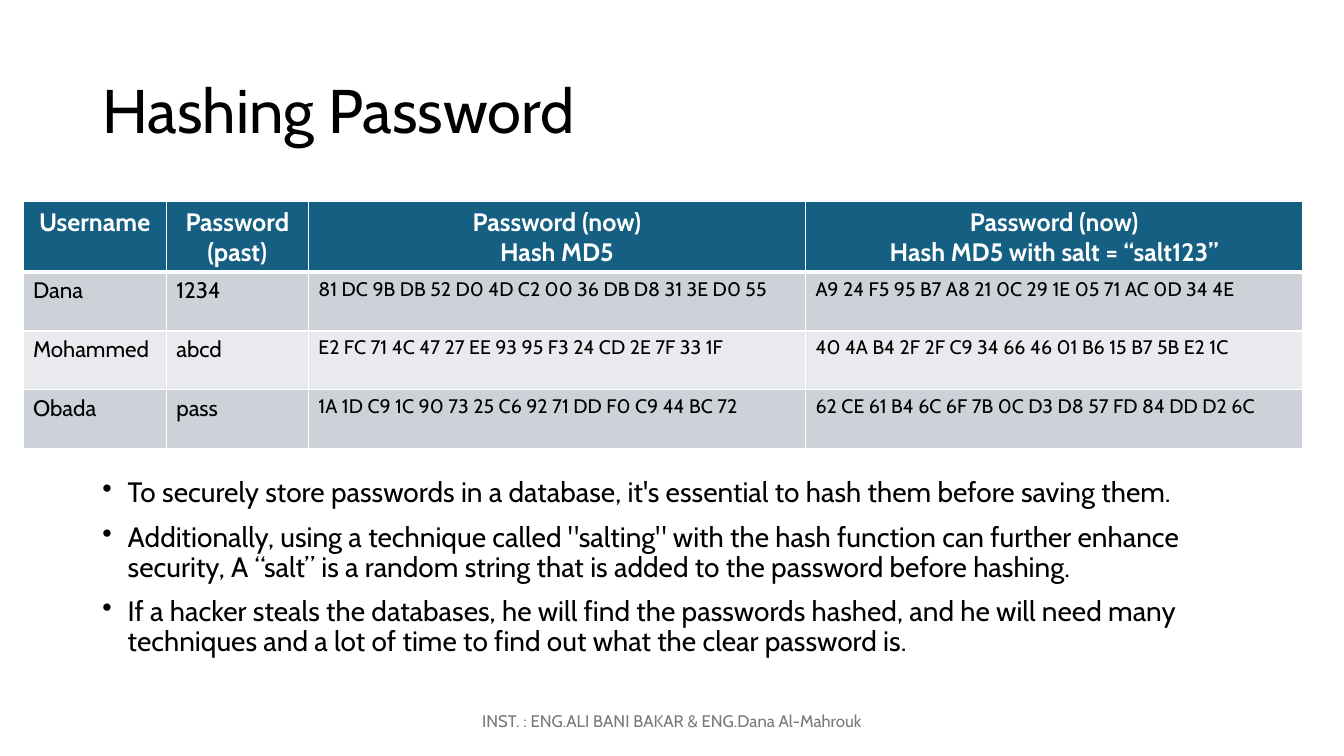
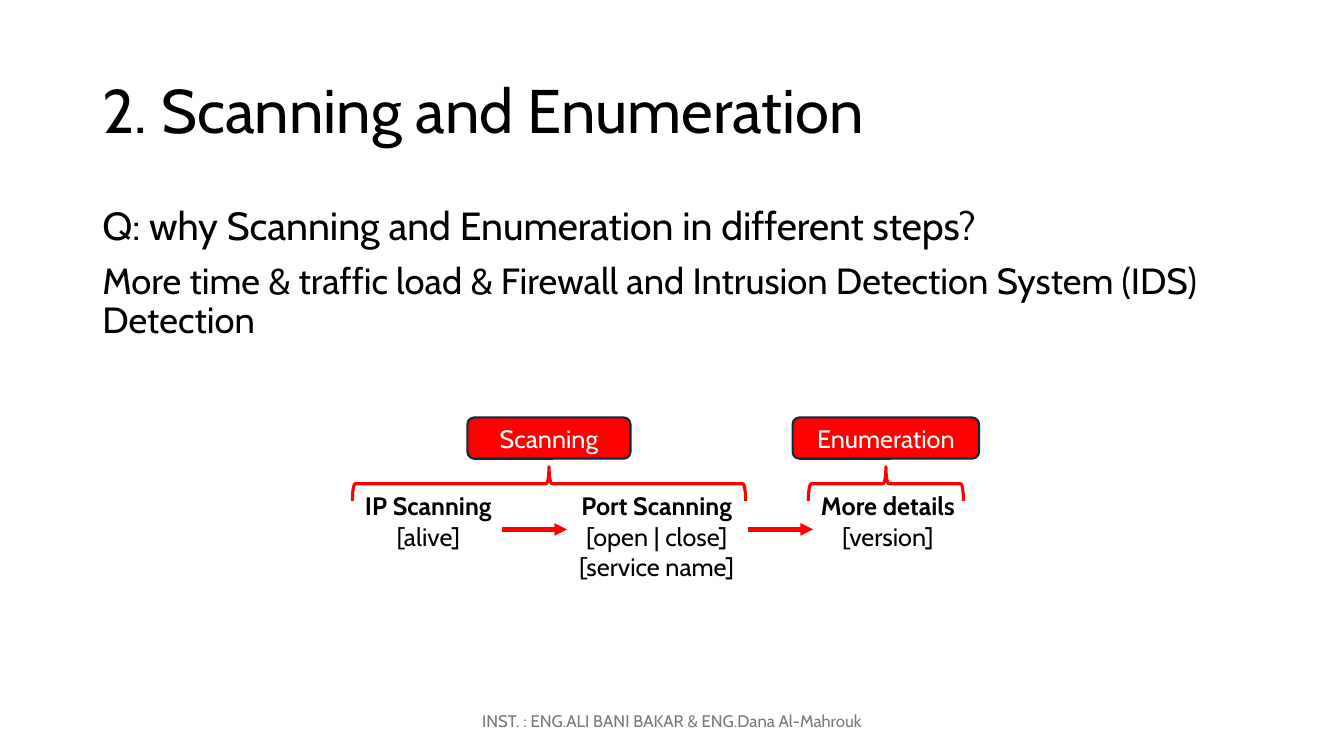
from lxml import etree
from pptx import Presentation
from pptx.dml.color import RGBColor
from pptx.enum.shapes import MSO_CONNECTOR as Link, MSO_SHAPE as Shape
from pptx.enum.text import MSO_ANCHOR as Anchor, PP_ALIGN as Align
from pptx.oxml.ns import qn
from pptx.util import Cm, Pt

FONT = "Cabin"
BLACK, WHITE, GREY = "000000", "FFFFFF", "797979"
RED, NAVY, TEAL = "FF0000", "092A39", "156082"
BANDS = "CCD2D8", "E8EAED"
EDGE, WIDE = 2.33, 29.21
FOOTER = "INST. : ENG.ALI BANI BAKAR & ENG.Dana Al-Mahrouk"

HEADS = ("Username", "Password (past)", "Password (now)\nHash MD5",
         "Password (now)\nHash MD5 with salt = “salt123”")
USERS = (
    ("Dana", "1234", "81 DC 9B DB 52 D0 4D C2 00 36 DB D8 31 3E D0 55",
     "A9 24 F5 95 B7 A8 21 0C 29 1E 05 71 AC 0D 34 4E"),
    ("Mohammed", "abcd", "E2 FC 71 4C 47 27 EE 93 95 F3 24 CD 2E 7F 33 1F",
     "40 4A B4 2F 2F C9 34 66 46 01 B6 15 B7 5B E2 1C"),
    ("Obada", "pass", "1A 1D C9 1C 90 73 25 C6 92 71 DD F0 C9 44 BC 72",
     "62 CE 61 B4 6C 6F 7B 0C D3 D8 57 FD 84 DD D2 6C"),
)
POINTS = (
    "To securely store passwords in a database, it's essential to hash them "
    "before saving them.",
    "Additionally, using a technique called \"salting\" with the hash function "
    "can further enhance security, A “salt” is a random string that is added "
    "to the password before hashing.",
    "If a hacker steals the databases, he will find the passwords hashed, and "
    "he will need many techniques and a lot of time to find out what the "
    "clear password is.",
)
ANSWER = (
    "Q: why Scanning and Enumeration in different steps?",
    "More time & traffic load & Firewall and Intrusion Detection System (IDS) "
    "Detection",
)
STEPS = (  # left, width, lines
    (0, 3.91, ("IP Scanning", "[alive]")),
    (5.41, 4.6, ("Port Scanning", "[open | close]", "[service name]")),
    (11.48, 4.11, ("More details", "[version]")),
)
GROUPS = (  # label, label width, brace left, brace width
    ("Scanning", 4.11, 0.04, 9.91),
    ("Enumeration", 4.7, 11.53, 3.91),
)


def color(code):
    return RGBColor.from_string(code)


def style(para, size, code=BLACK, bold=False, align=Align.LEFT):
    font = para.font
    font.name, font.size, font.bold = FONT, Pt(size), bold
    font.color.rgb = color(code)
    para.alignment = align


def write(frame, lines, size, code=BLACK, bold=False, align=Align.LEFT):
    frame.text = "\n".join(lines)
    for para in frame.paragraphs:
        style(para, size, code, bold, align)


def text_box(slide, left, top, width, height):
    frame = slide.shapes.add_textbox(
        Cm(left), Cm(top), Cm(width), Cm(height)).text_frame
    frame.word_wrap = True
    return frame


def outline(shape, code, width):
    shape.line.color.rgb = color(code)
    shape.line.width = Pt(width)


def bullet(para):
    props = para._p.get_or_add_pPr()
    props.set("marL", str(Cm(0.64)))
    props.set("indent", str(-Cm(0.64)))
    mark = etree.Element(qn("a:buChar"), char="•")
    props.find(qn("a:defRPr")).addprevious(mark)


def new_slide(deck, name):
    """Add a slide with the shared title and footer."""
    slide = deck.slides.add_slide(deck.slide_layouts[5])
    title = slide.shapes.title
    title.left, title.top = Cm(EDGE), Cm(1.02)
    title.width, title.height = Cm(WIDE), Cm(3.68)
    frame = title.text_frame
    frame.vertical_anchor = Anchor.MIDDLE
    write(frame, [name], 44)
    frame.paragraphs[0].line_spacing = 0.9
    foot = text_box(slide, 11.22, 17.65, 11.43, 1.02)
    foot.vertical_anchor = Anchor.MIDDLE
    write(foot, [FOOTER], 12, GREY, align=Align.CENTER)
    return slide


def body(slide, top, height, lines, sizes, dots=False):
    frame = text_box(slide, EDGE, top, WIDE, height)
    write(frame, lines, sizes[0])
    for para, size in zip(frame.paragraphs, sizes):
        para.font.size = Pt(size)
        para.line_spacing, para.space_before = 0.9, Pt(10)
        if dots:
            bullet(para)


def borders(cell, top, bottom):
    props = cell._tc.get_or_add_tcPr()
    for side, width in zip("LRTB", (1, 1, top, bottom)):
        line = etree.SubElement(props, qn("a:ln" + side), w=str(Pt(width)))
        fill = etree.SubElement(line, qn("a:solidFill"))
        etree.SubElement(fill, qn("a:srgbClr"), val=WHITE)


def hash_table(slide, left, top):
    cols, rows = (3.61, 3.58, 12.53, 12.53), (1.76, 1.48, 1.48, 1.48)
    table = slide.shapes.add_table(
        len(rows), len(cols), Cm(left), Cm(top),
        Cm(sum(cols)), Cm(sum(rows))).table
    for col, width in zip(table.columns, cols):
        col.width = Cm(width)
    for row, height in zip(table.rows, rows):
        row.height = Cm(height)
    for r, words in enumerate((HEADS, *USERS)):
        for c, word in enumerate(words):
            cell = table.cell(r, c)
            borders(cell, 3 if r == 1 else 1, 3 if r == 0 else 1)
            cell.fill.solid()
            cell.fill.fore_color.rgb = color(BANDS[(r - 1) % 2] if r else TEAL)
            if r:
                write(cell.text_frame, [word], 16 if c < 2 else 14)
            else:
                write(cell.text_frame, [word], 18, WHITE, True, Align.CENTER)


def step(slide, left, top, width, lines):
    frame = text_box(slide, left, top, width, 0.25 + 0.77 * len(lines))
    frame.word_wrap = False
    write(frame, lines, 18, align=Align.CENTER)
    frame.paragraphs[0].font.bold = True


def arrow(slide, left, top, width):
    link = slide.shapes.add_connector(
        Link.STRAIGHT, Cm(left), Cm(top), Cm(left + width), Cm(top))
    outline(link, RED, 3)
    etree.SubElement(link.line._get_or_add_ln(), qn("a:tailEnd"),
                     type="triangle")
    etree.SubElement(link._element.spPr, qn("a:effectLst"))


def group(slide, left, top, width, label, span):
    """Draw a brace of the given width with its label centred above."""
    mid, deep = left + width / 2, 0.86
    brace = slide.shapes.add_shape(
        Shape.LEFT_BRACE, Cm(mid - deep / 2),
        Cm(top + 1.67 - width / 2), Cm(deep), Cm(width))
    brace.rotation = 90
    brace.fill.background()
    outline(brace, RED, 2.25)
    badge = slide.shapes.add_shape(
        Shape.ROUNDED_RECTANGLE, Cm(mid - span / 2), Cm(top),
        Cm(span), Cm(1.04))
    badge.fill.solid()
    badge.fill.fore_color.rgb = color(RED)
    outline(badge, NAVY, 1.5)
    badge.text_frame.vertical_anchor = Anchor.MIDDLE
    write(badge.text_frame, [label], 18, WHITE, align=Align.CENTER)
    for shape in (brace, badge):
        shape.shadow.inherit = False


def flow(slide, left, top):
    for x, width, lines in STEPS:
        step(slide, left + x, top + 1.72, width, lines)
    for x in (3.81, 10.01):
        arrow(slide, left + x, top + 2.82, 1.64)
    for label, span, x, width in GROUPS:
        group(slide, left + x, top, width, label, span)


def main():
    deck = Presentation()
    deck.slide_width, deck.slide_height = Cm(33.87), Cm(19.05)
    slide = new_slide(deck, "Hashing Password")
    body(slide, 11.94, 5.23, POINTS, (20, 20, 20), dots=True)
    hash_table(slide, 0.58, 5.08)
    slide = new_slide(deck, "2. Scanning and Enumeration")
    body(slide, 5.08, 3.91, ANSWER, (28, 26))
    flow(slide, 8.84, 10.52)
    deck.save("out.pptx")


if __name__ == "__main__":
    main()
